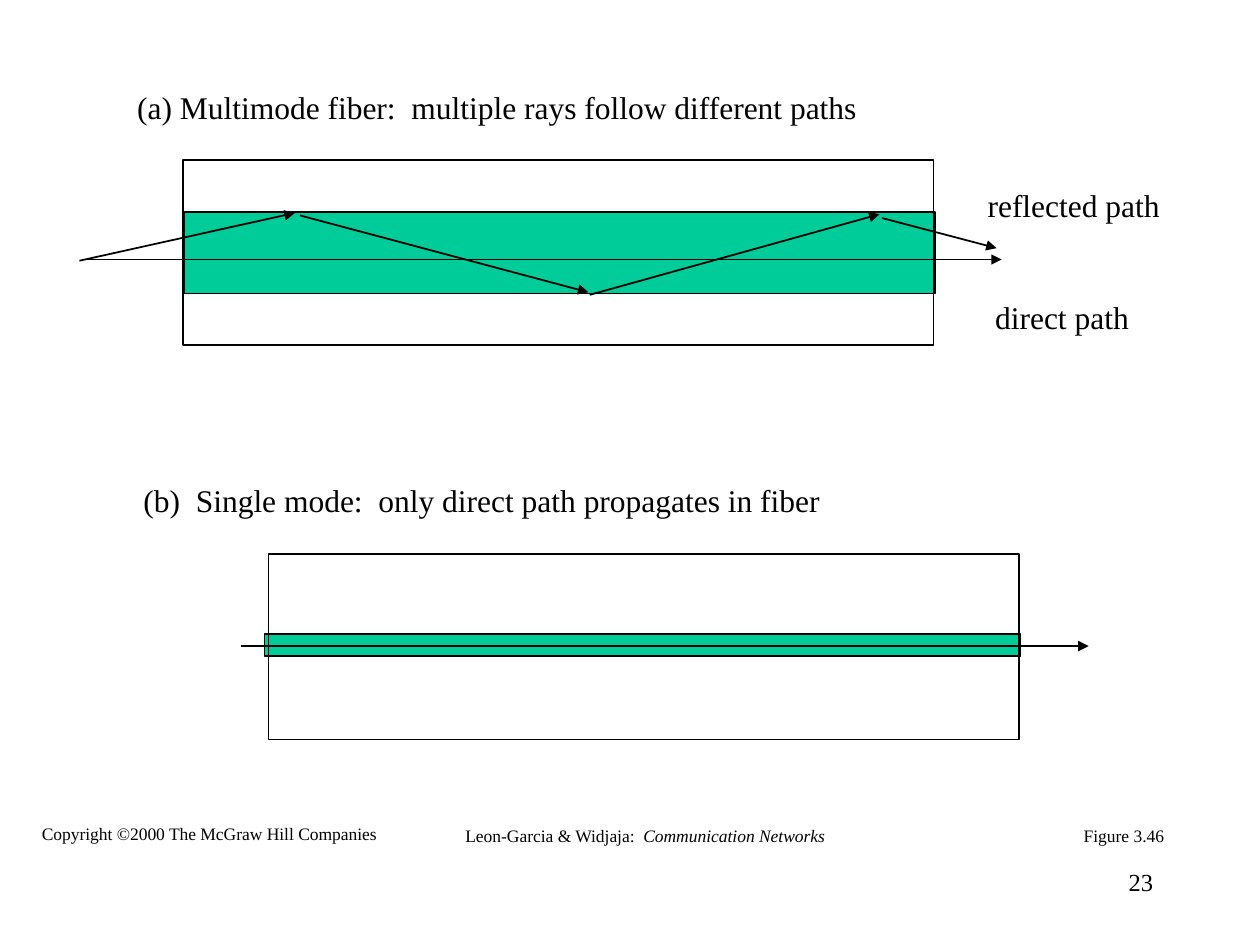
"""Build a slide comparing ray paths in multimode and single-mode fiber."""
from pptx import Presentation, util as u
from pptx.dml.color import RGBColor
from pptx.enum import shapes, text
from pptx.oxml import parse_xml
from pptx.oxml.ns import nsdecls, qn

BLACK = RGBColor(0x00, 0x00, 0x00)
CORE_GREEN = RGBColor(0x00, 0xCC, 0x99)
LEFT, CENTER, RIGHT = text.PP_ALIGN.LEFT, text.PP_ALIGN.CENTER, text.PP_ALIGN.RIGHT
TOP, MIDDLE = text.MSO_ANCHOR.TOP, text.MSO_ANCHOR.MIDDLE


def add_layer(parent, box, fill):
    layer = parent.add_shape(shapes.MSO_SHAPE.RECTANGLE, *map(u.Pt, box))
    layer.shadow.inherit = False
    layer.line.color.rgb = BLACK
    layer.line.width = u.Pt(1)
    if fill is None:
        layer.fill.background()
    else:
        layer.fill.solid()
        layer.fill.fore_color.rgb = fill


def add_ray(parent, ends):
    ray = parent.add_connector(shapes.MSO_CONNECTOR.STRAIGHT, *map(u.Pt, ends))
    ray.line.color.rgb = BLACK
    ray.line.width = u.Pt(1)
    ray.line._get_or_add_ln().append(
        parse_xml(f'<a:tailEnd {nsdecls("a")} type="triangle"/>'))
    ray._element.find(qn("p:spPr")).append(
        parse_xml(f'<a:effectLst {nsdecls("a")}/>'))


deck = Presentation()
deck.slide_width, deck.slide_height = u.Pt(720), u.Pt(540)
slide = deck.slides.add_slide(deck.slide_layouts[6])

add_layer(slide.shapes, (151.2, 362.2, 432, 12.5), CORE_GREEN)
add_layer(slide.shapes, (153.4, 316.8, 429.1, 105.8), None)

multimode = slide.shapes.add_group_shape().shapes
add_layer(multimode, (105.1, 121, 429.1, 46.8), CORE_GREEN)
add_layer(multimode, (104.4, 91.4, 429.1, 105.8), None)
for ends in (
    (45.4, 149, 168.5, 121.7),
    (171.4, 123.1, 336.2, 167),
    (337, 168.5, 502.6, 122.4),
    (504, 124.6, 569.5, 141.8),
    (49, 148.3, 572.4, 148.3),
):
    add_ray(multimode, ends)
add_ray(slide.shapes, (137.5, 369.2, 622.1, 369.2))

for box, size, align, anchor, wrap, runs in (
    ((71.3, 46.8, 426.2, 28.8), 18, LEFT, TOP, False,
     ["(a) Multimode fiber:  multiple rays follow different paths"]),
    ((74.9, 271.6, 405.4, 28.8), 18, LEFT, TOP, False,
     ["(b)  Single mode:  only direct path propagates in fiber"]),
    ((561.6, 167, 90.7, 28.8), 18, LEFT, TOP, False, ["direct path"]),
    ((557.3, 103, 113, 28.8), 18, LEFT, TOP, False, ["reflected path"]),
    ((612, 468, 60.5, 19.4), 10, CENTER, MIDDLE, False, ["Figure 3.46"]),
    ((258.5, 468, 220.3, 19.4), 10, CENTER, MIDDLE, False,
     ["Leon-Garcia & Widjaja:  ", "Communication Networks"]),
    ((16.6, 466.6, 205.9, 19.4), 10, CENTER, MIDDLE, False,
     ["Copyright ©2000 The McGraw Hill Companies"]),
    ((516.2, 491.8, 149.8, 36), 14, RIGHT, TOP, True, ["23"]),
):
    frame = slide.shapes.add_textbox(*map(u.Pt, box)).text_frame
    frame.word_wrap = wrap
    frame.vertical_anchor = anchor
    paragraph = frame.paragraphs[0]
    paragraph.alignment = align
    paragraph.font.name = "Times New Roman"
    paragraph.font.size = u.Pt(size)
    paragraph.font.color.rgb = BLACK
    for position, words in enumerate(runs):
        run = paragraph.add_run()
        run.text = words
        if position:
            run.font.italic = True

deck.save("out.pptx")
